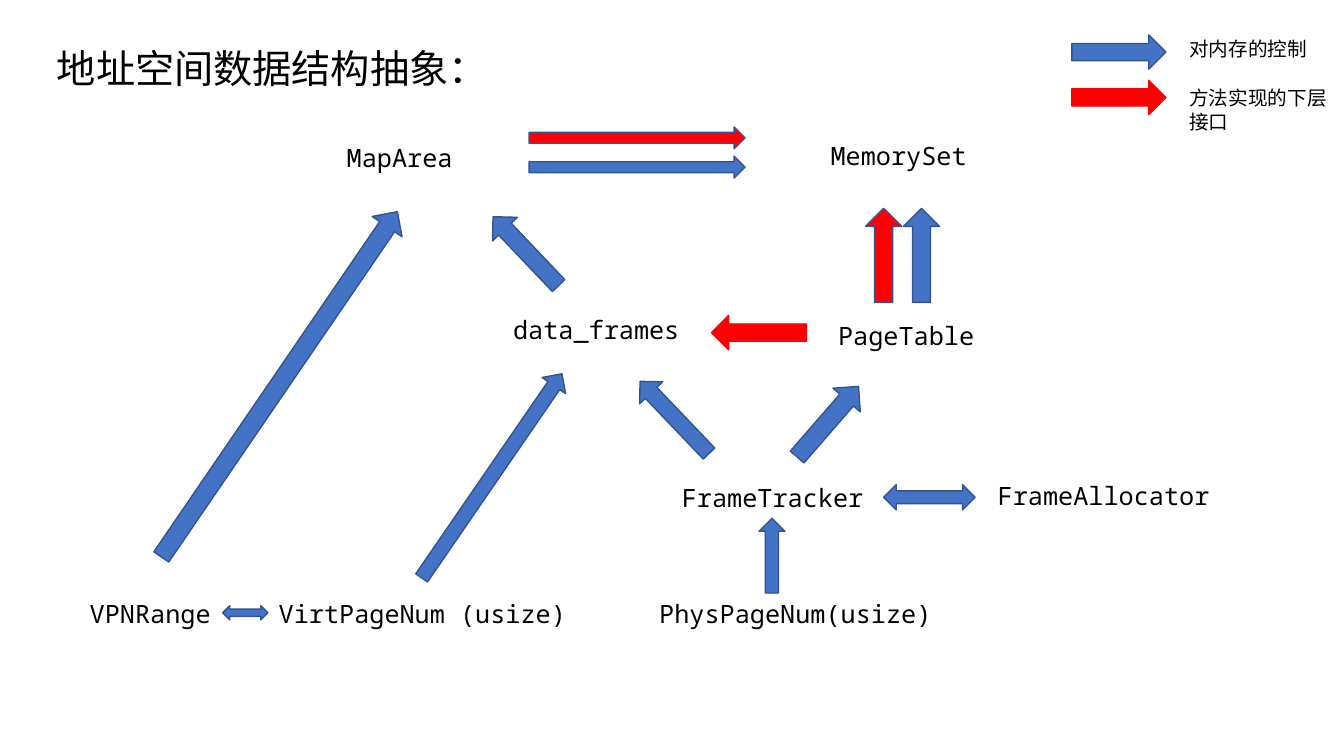
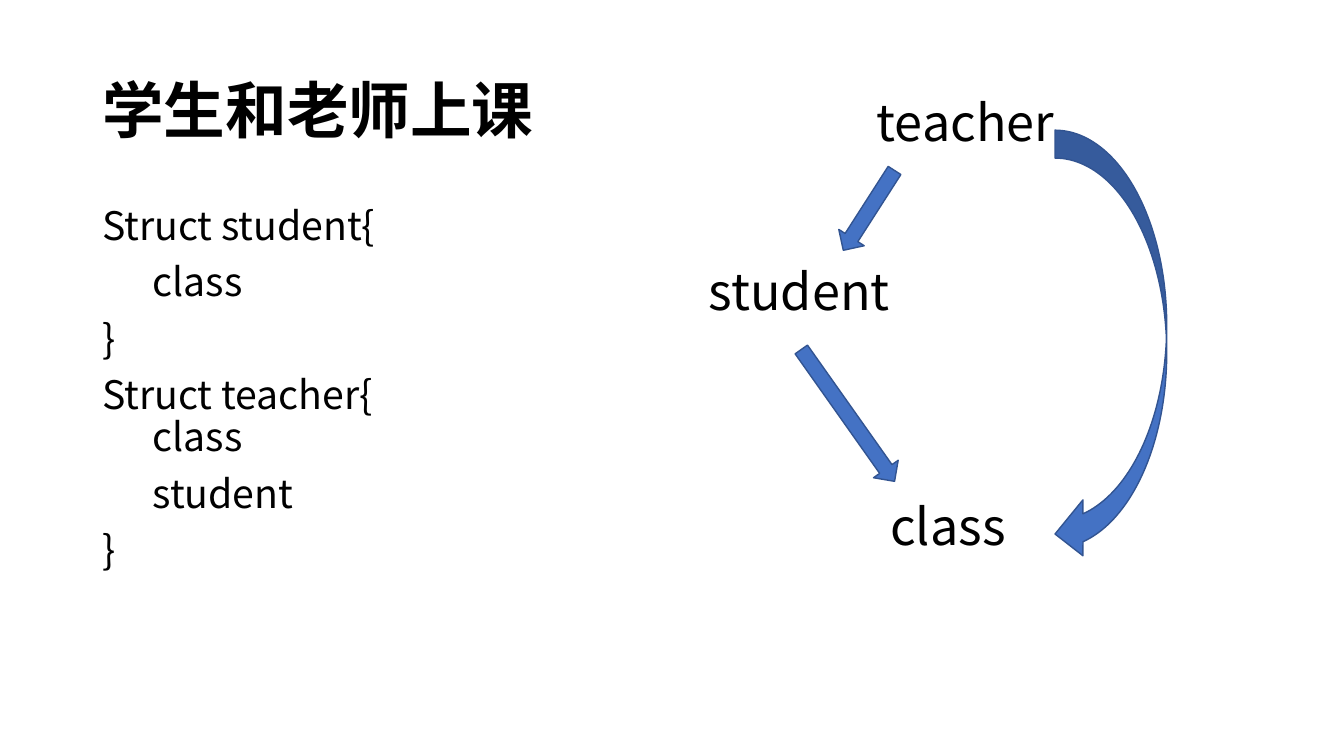
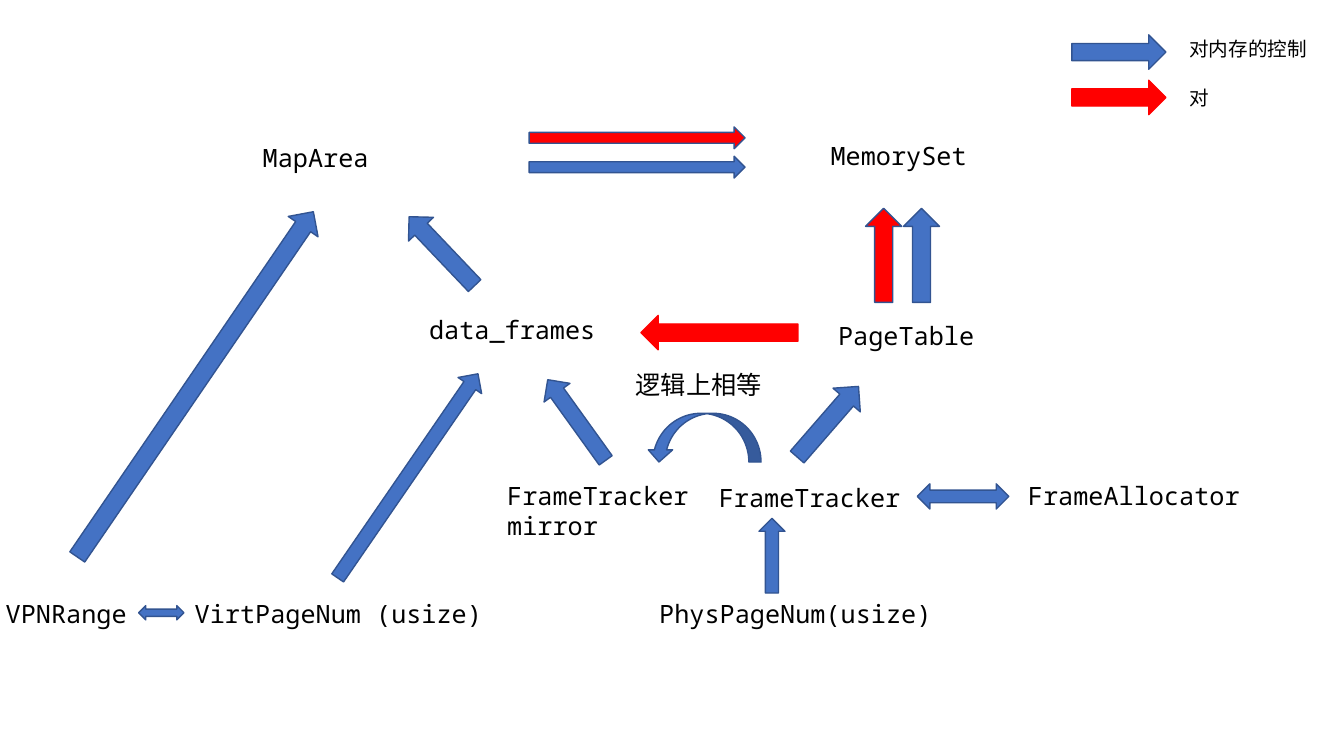
from math import atan2, degrees, hypot

from lxml import etree
from pptx import Presentation
from pptx.dml.color import RGBColor
from pptx.enum.shapes import MSO_SHAPE
from pptx.enum.text import MSO_ANCHOR, MSO_AUTO_SIZE
from pptx.oxml.ns import qn
from pptx.util import Emu, Inches, Pt

COLS, ROWS = 160, 90
CELL = Inches(1) / 12

BLACK = RGBColor(0x00, 0x00, 0x00)
BLUE = RGBColor(0x44, 0x72, 0xC4)
NAVY = RGBColor(0x32, 0x54, 0x91)
RED = RGBColor(0xFF, 0x00, 0x00)

SANS = "Noto Sans CJK SC"
MONO = "Noto Sans Mono"

DOWN = MSO_SHAPE.DOWN_ARROW
BOTH_WAYS = MSO_SHAPE.LEFT_RIGHT_ARROW
CURVED_LEFT = MSO_SHAPE.CURVED_LEFT_ARROW
CURVED_UP = MSO_SHAPE.CURVED_UP_ARROW
TOP, MIDDLE = MSO_ANCHOR.TOP, MSO_ANCHOR.MIDDLE
GROW, FIXED = MSO_AUTO_SIZE.SHAPE_TO_FIT_TEXT, MSO_AUTO_SIZE.NONE

LINE_H = {14: 4.1, 18: 4.8, 36: 8.5}


class Deck:
    """Style and current slide; all lengths are columns and rows of the grid."""

    def __init__(self):
        self.prs = Presentation()
        self.prs.slide_width = Emu(int(COLS * CELL))
        self.prs.slide_height = Emu(int(ROWS * CELL))
        self.shapes = None

    def new_slide(self):
        self.shapes = self.prs.slides.add_slide(self.prs.slide_layouts[6]).shapes

    def box(self, *cells):
        return [Emu(round(c * CELL)) for c in cells]

    def run(self, p, text, size, font, bold):
        r = p.add_run()
        r.text = text
        r.font.size = Pt(size)
        r.font.name = font
        r.font.bold = bold
        r.font.color.rgb = BLACK
        ea = etree.SubElement(r._r.get_or_add_rPr(), qn("a:ea"))
        ea.set("typeface", font)

    def text(self, x, y, w, h, paragraphs, size, font=SANS, bold=False,
             anchor=TOP, fit=FIXED, spacing=None, before=0):
        """Write each paragraph; a newline inside one is a line break."""
        tf = self.shapes.add_textbox(*self.box(x, y, w, h)).text_frame
        tf.word_wrap = True
        tf.auto_size = fit
        tf.vertical_anchor = anchor
        for i, paragraph in enumerate(paragraphs):
            p = tf.add_paragraph() if i else tf.paragraphs[0]
            p.line_spacing = spacing
            p.space_before = Pt(before)
            for j, line in enumerate(paragraph.split("\n")):
                if j:
                    p.add_line_break()
                self.run(p, line, size, font, bold)

    def label(self, x, y, w, text, size=18, font=MONO):
        h = LINE_H[size] * (text.count("\n") + 1)
        self.text(x, y, w, h, [text], size, font, fit=GROW)

    def preset(self, kind, x, y, w, h, rotation=0, fill=BLUE, line=NAVY):
        sp = self.shapes.add_shape(kind, *self.box(x, y, w, h))
        sp.rotation = rotation
        sp.shadow.inherit = False
        sp.fill.solid()
        sp.fill.fore_color.rgb = fill
        sp.line.color.rgb = line
        sp.line.width = Pt(1)

    def arrow(self, tail, tip, w, fill=BLUE, line=NAVY):
        """Draw a block arrow of width w between two points."""
        (x1, y1), (x2, y2) = tail, tip
        length = hypot(x2 - x1, y2 - y1)
        self.preset(DOWN, (x1 + x2 - w) / 2, (y1 + y2 - length) / 2, w, length,
                    degrees(atan2(x1 - x2, y2 - y1)) % 360, fill, line)

    def legend(self, red_text, red_width):
        self.arrow((127.6, 6.2), (138.8, 6.2), 4.1)
        self.label(140.4, 3.8, 17.3, "对内存的控制", 14, SANS)
        self.arrow((127.6, 11.6), (138.8, 11.6), 4.1, RED, RED)
        self.label(140.4, 9.7, red_width, red_text, 14, SANS)


def memory_map(deck, shift=0):
    """Draw what both maps share; shift moves the left branch."""
    deck.label(77.3, 70.6, 35.4, "PhysPageNum(usize)")
    deck.label(98.6, 37.6, 26.2, "PageTable")
    deck.label(97.7, 16.1, 23, "MemorySet")
    for x, y, w, name in [(32, 70.6, 38.2, "VirtPageNum (usize)"),
                          (59.9, 36.8, 37.4, "data_frames"),
                          (40.1, 16.3, 19.4, "MapArea"),
                          (9.5, 70.6, 19.1, "VPNRange")]:
        deck.label(x + shift, y, w, name)

    deck.arrow((91.9, 70.6), (91.9, 61.7), 3.1)
    deck.arrow((94.9, 54.4), (102.2, 46), 4.3)
    for (x1, y1), (x2, y2), w in [((66.5, 34), (58.7, 25.8), 4.1),
                                  ((19.2, 66.3), (47.3, 25.2), 4.3),
                                  ((50.2, 68.8), (66.9, 44.5), 3.4)]:
        deck.arrow((x1 + shift, y1), (x2 + shift, y2), w)
    deck.preset(BOTH_WAYS, 26.5 + shift, 72.1, 5.4, 1.7)
    for fill, x, y in [(BLUE, 109.7, 19.9), (RED, 105.2, 16.4)]:
        deck.arrow((63, y), (88.7, y), 2.6, fill)
        deck.arrow((x, 36), (x, 24.8), 4.3, fill)


def structure_slide(deck):
    deck.new_slide()
    deck.text(5.6, 5.3, 52.7, 8.4, ["地址空间数据结构抽象："], 28,
              spacing=0.9, before=10)
    memory_map(deck)
    deck.label(80, 56.8, 27.6, "FrameTracker")
    deck.label(117.6, 56.6, 33.4, "FrameAllocator")
    deck.arrow((84.4, 54), (76.2, 45.4), 3.8)
    deck.arrow((96, 39.6), (84.7, 39.6), 4.1, RED, RED)
    deck.preset(BOTH_WAYS, 105.2, 57.7, 10.9, 3)
    deck.legend("方法实现的下层接口", 19.6)


def class_slide(deck):
    deck.new_slide()
    deck.text(11, 4.8, 138, 17.4, ["学生和老师上课"], 44, bold=True,
              anchor=MIDDLE, spacing=0.9)
    deck.text(11, 24, 35.8, 57.1,
              ["Struct student{", "\tclass", "}",
               "Struct teacher{\n\tclass", "\tstudent", "}"],
              28, spacing=0.9, before=10)
    for x, y, name in [(104.8, 58.4, "class"), (83.2, 30.4, "student"),
                       (103.2, 10.2, "teacher")]:
        deck.label(x, y, 25, name, 36, SANS)
    deck.arrow((95.4, 41.6), (106.5, 57.3), 3.6)
    deck.arrow((106.5, 20.3), (100.4, 29.8), 3.6)
    deck.preset(CURVED_LEFT, 125.6, 15.5, 13.3, 51.4)


def mirror_slide(deck):
    deck.new_slide()
    memory_map(deck, shift=-10)
    deck.label(84.4, 56.8, 25.2, "FrameTracker")
    deck.label(59.2, 56.6, 25.2, "FrameTracker\nmirror")
    deck.label(121.2, 56.6, 33.4, "FrameAllocator")
    deck.arrow((72.1, 54.8), (65.2, 45.2), 3.8)
    deck.arrow((95, 39.6), (76.3, 39.6), 4.1, RED, RED)
    deck.preset(CURVED_UP, 77, 49.2, 13.6, 5.8, 180)
    deck.label(74.5, 43.4, 21, "逻辑上相等", font=SANS)
    deck.preset(BOTH_WAYS, 109.2, 57.6, 10.9, 3)
    deck.legend("对", 17.3)


def main():
    deck = Deck()
    structure_slide(deck)
    class_slide(deck)
    mirror_slide(deck)
    deck.prs.save("out.pptx")


if __name__ == "__main__":
    main()
